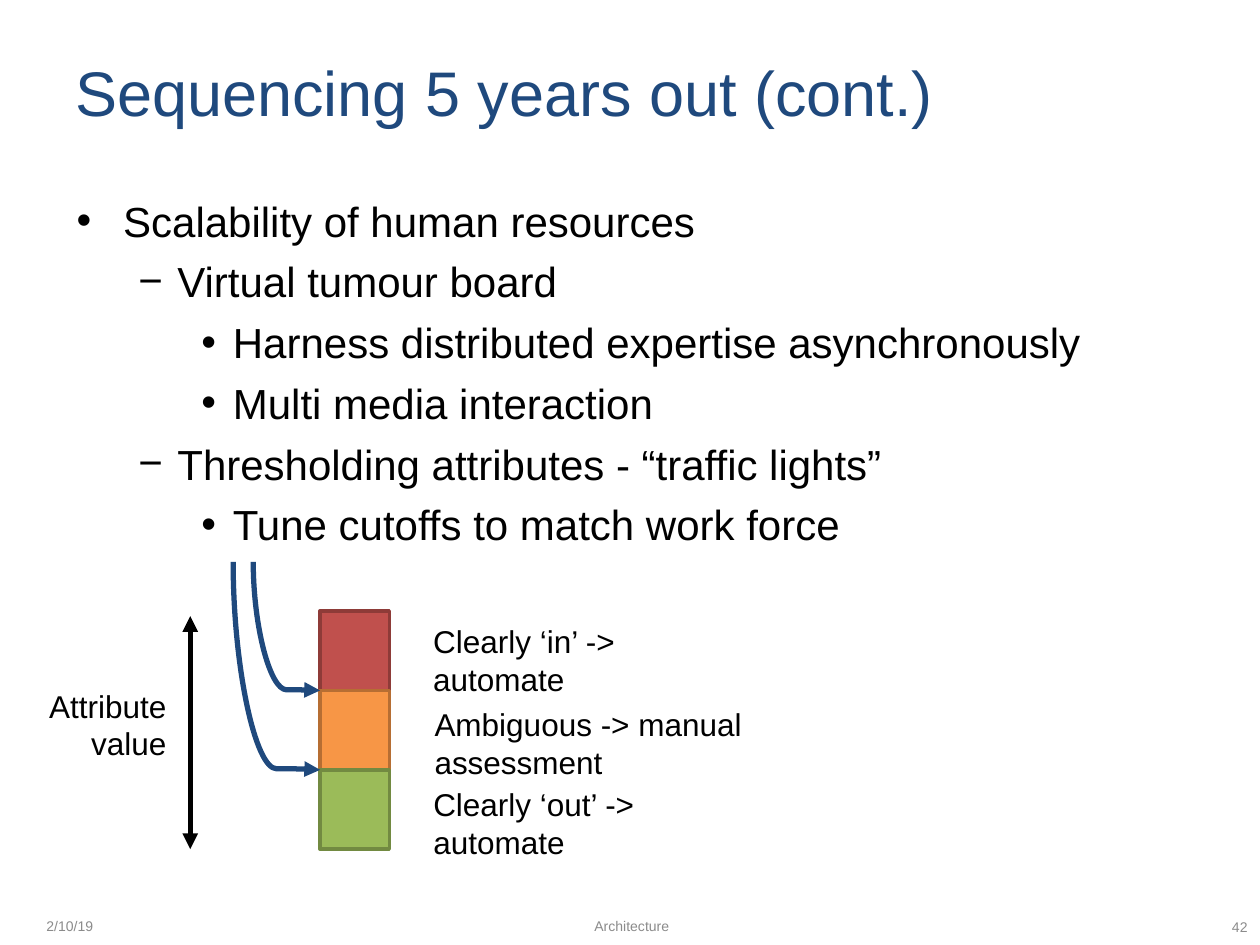
from lxml import etree
from pptx import Presentation
from pptx.dml.color import RGBColor
from pptx.enum.shapes import MSO_CONNECTOR as CONNECTOR, MSO_SHAPE as SHAPE
from pptx.enum.text import MSO_ANCHOR as ANCHOR, PP_ALIGN as ALIGN
from pptx.oxml.ns import qn
from pptx.util import Inches, Pt

BLACK, NAVY, GREY = "000000", "1F497D", "8B8B8B"

# Level settings: left margin, hanging indent, bullet
LEVELS = [(0.38, -0.37, "•"), (0.81, -0.31, "−"), (1.25, -0.25, "•")]
OUTLINE = [
    (0, "Scalability of human resources"),
    (1, "Virtual tumour board"),
    (2, "Harness distributed expertise asynchronously"),
    (2, "Multi media interaction"),
    (1, "Thresholding attributes - “traffic lights”"),
    (2, "Tune cutoffs to match work force"),
]

LIGHT_LEFT, LIGHT_TOP, LIGHT_WIDTH, LIGHT_HEIGHT = 2.54, 4.85, 0.55, 0.63
LIGHTS = [("C0504D", "8E3B38"), ("F79646", "B66E33"), ("9BBB59", "728A41")]
LIGHT_LABELS = [
    (3.34, 4.89, 2.7, "Clearly ‘in’ -> automate"),
    (3.35, 5.55, 3.95, "Ambiguous -> manual assessment"),
    (3.34, 6.18, 2.85, "Clearly ‘out’ -> automate"),
]


def rgb(color):
    return RGBColor.from_string(color)


def style(paragraph, size, color, align=ALIGN.LEFT):
    paragraph.alignment = align
    font = paragraph.font
    font.name, font.size = "Arial", Pt(size)
    font.color.rgb = rgb(color)


def add_frame(slide, box, anchor=ANCHOR.TOP):
    frame = slide.shapes.add_textbox(*map(Inches, box)).text_frame
    frame.word_wrap = True
    frame.vertical_anchor = anchor
    return frame


def add_text(slide, box, text, size, color, align=ALIGN.LEFT, anchor=ANCHOR.TOP):
    frame = add_frame(slide, box, anchor)
    frame.text = text
    for paragraph in frame.paragraphs:
        style(paragraph, size, color, align)


def add_bullet(paragraph, level):
    margin, indent, mark = LEVELS[level]
    paragraph.level = level
    properties = paragraph._p.get_or_add_pPr()
    properties.set("marL", str(Inches(margin)))
    properties.set("indent", str(Inches(indent)))
    etree.SubElement(properties, qn("a:buFont"), typeface="Arial")
    etree.SubElement(properties, qn("a:buChar"), char=mark)


def add_outline(slide, box, items):
    frame = add_frame(slide, box)
    for index, (level, text) in enumerate(items):
        paragraph = frame.add_paragraph() if index else frame.paragraphs[0]
        paragraph.text = text
        add_bullet(paragraph, level)
        if index:
            paragraph.space_before = Pt(5.9)
        style(paragraph, 24, BLACK)


def add_light(slide, top, fill, outline):
    light = slide.shapes.add_shape(
        SHAPE.RECTANGLE, Inches(LIGHT_LEFT), Inches(top),
        Inches(LIGHT_WIDTH), Inches(LIGHT_HEIGHT))
    light.shadow.inherit = False
    light.fill.solid()
    light.fill.fore_color.rgb = rgb(fill)
    light.line.color.rgb = rgb(outline)
    light.line.width = Pt(2)


def add_arrow(slide, kind, start, end, color, heads=("tailEnd",)):
    arrow = slide.shapes.add_connector(kind, *map(Inches, start + end))
    arrow.line.color.rgb = rgb(color)
    arrow.line.width = Pt(3)
    line = arrow.line._get_or_add_ln()
    for head in heads:
        etree.SubElement(line, qn(f"a:{head}"), type="triangle")
    etree.SubElement(arrow._element.spPr, qn("a:effectLst"))
    return arrow


def add_cutoff_arrow(slide, start, end):
    """Curve that leaves downwards and arrives from the left."""
    across, down = end[0] - start[0], end[1] - start[1]
    middle_x, middle_y = (start[0] + end[0]) / 2, (start[1] + end[1]) / 2
    # The curve is laid flat around its centre, then turned upright
    arrow = add_arrow(
        slide, CONNECTOR.CURVE,
        (middle_x + down / 2, middle_y - across / 2),
        (middle_x - down / 2, middle_y + across / 2), NAVY)
    properties = arrow._element.spPr
    properties.find(qn("a:xfrm")).set("rot", str(270 * 60000))
    guides = properties.find(qn("a:prstGeom")).find(qn("a:avLst"))
    etree.SubElement(guides, qn("a:gd"), name="adj1", fmla="val 99500")


def main():
    deck = Presentation()
    deck.slide_width, deck.slide_height = Inches(10), Inches(7.5)
    slide = deck.slides.add_slide(deck.slide_layouts[6])

    # Title and outline
    add_text(slide, (0.5, 0.3, 9, 0.85), "Sequencing 5 years out (cont.)",
             36, NAVY, anchor=ANCHOR.MIDDLE)
    add_outline(slide, (0.5, 1.5, 9, 2.8), OUTLINE)

    # Footer
    for box, text, align in [
        ((0.27, 7.19, 2.33, 0.31), "2/10/19", ALIGN.LEFT),
        ((3.43, 7.19, 3.17, 0.31), "Architecture", ALIGN.CENTER),
        ((7.67, 7.22, 2.33, 0.28), "42", ALIGN.RIGHT),
    ]:
        add_text(slide, box, text, 8, GREY, align, ANCHOR.MIDDLE)

    # Traffic lights with their labels
    for index, (fill, outline) in enumerate(LIGHTS):
        add_light(slide, LIGHT_TOP + index * LIGHT_HEIGHT, fill, outline)
    for left, top, width, text in LIGHT_LABELS:
        add_text(slide, (left, top, width, 0.7), text, 18, BLACK)

    # Attribute scale
    add_text(slide, (0.29, 5.4, 1.13, 0.7), "Attribute\nvalue", 18, BLACK, ALIGN.RIGHT)
    add_arrow(slide, CONNECTOR.STRAIGHT, (1.51, 4.89), (1.51, 6.74), BLACK,
              ("headEnd", "tailEnd"))

    # Cutoffs between the lights
    for boundary, start_x in enumerate((2.01, 1.85), start=1):
        add_cutoff_arrow(slide, (start_x, 4.46),
                         (LIGHT_LEFT, LIGHT_TOP + boundary * LIGHT_HEIGHT))

    deck.save("out.pptx")


if __name__ == "__main__":
    main()
